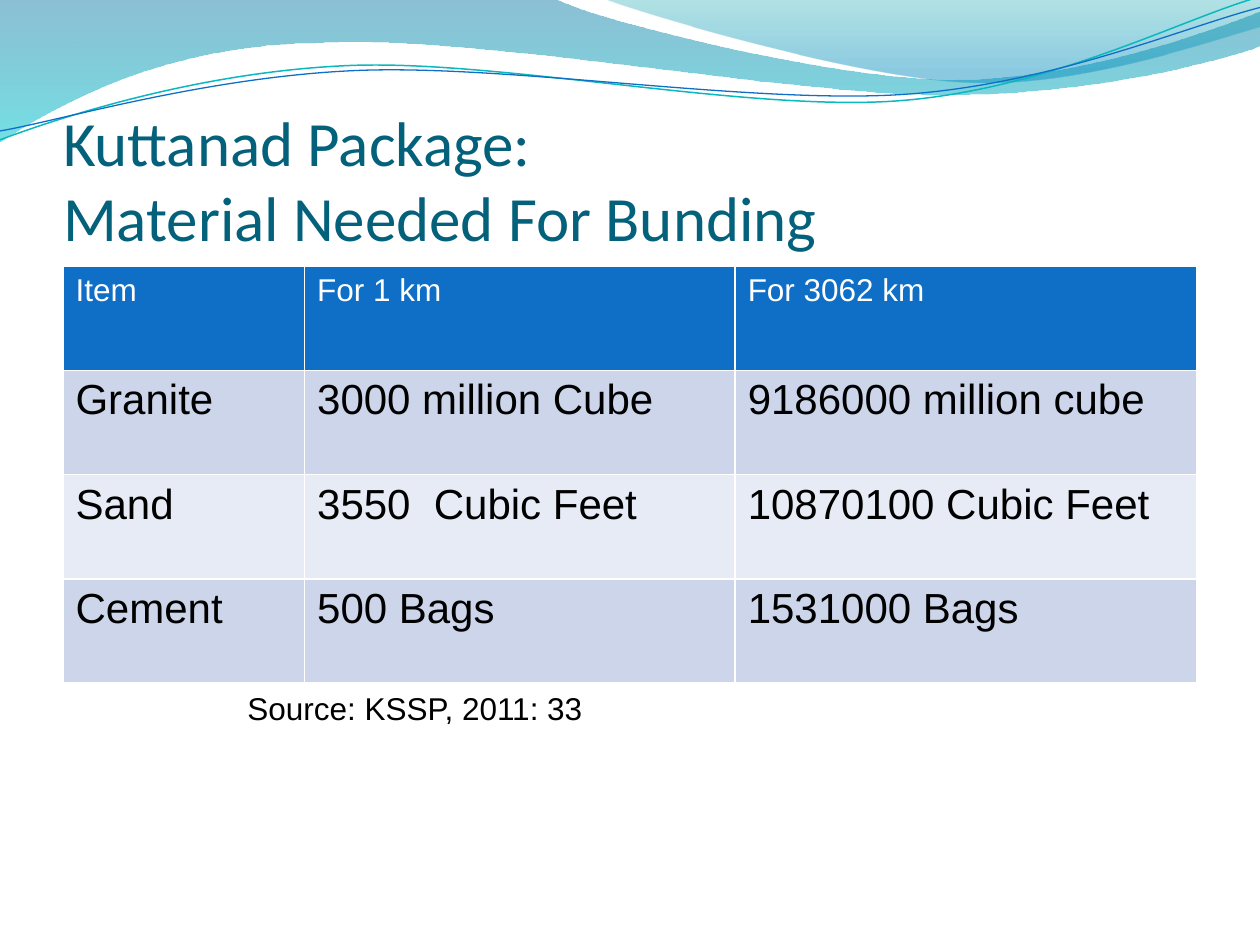
import math

from lxml import etree
from pptx import Presentation
from pptx import util as u
from pptx.dml.color import RGBColor
from pptx.enum import text
from pptx.oxml.ns import qn

UNIT = u.Cm(2.54)  # wave coordinates are in units of 2.54 cm
LINE_TILT = -2.7

# Each wave: start point, then line ends (2 numbers) or Bezier curves (6 numbers)
BACK_WAVE = [(0, -0.01), (4.4, -0.01),
             (4.76, 0.17, 6.64, 0.63, 7.58, 0.63), (8.53, 0.63, 9.58, 0.26, 10, 0.09),
             (10.01, 0.36),
             (9.83, 0.44, 8.7, 0.76, 7.46, 0.75), (6.22, 0.75, 3.82, 0.28, 2.57, 0.34),
             (1.29, 0.35, 0.46, 0.83, -0.01, 1.13), (0, -0.01)]
FRONT_WAVE = [(4.79, -0.01),
              (5.09, 0.11, 6.82, 0.62, 7.69, 0.65), (8.56, 0.69, 9.61, 0.32, 10, 0.21),
              (10, 0), (4.79, -0.01)]
TEAL_LINE = [(0, 1.11), (0.48, 0.93, 1.58, 0.57, 2.77, 0.52),
             (3.95, 0.47, 5.93, 0.89, 7.13, 0.8), (8.33, 0.71, 9.38, 0.15, 9.98, -0.02)]
BLUE_LINE = [(0, 1.04), (0.47, 0.96, 1.64, 0.61, 2.83, 0.56),
             (4.03, 0.51, 5.97, 0.83, 7.17, 0.75), (8.36, 0.67, 9.41, 0.21, 10, 0.06)]

ROWS = [("Item", "For 1 km", "For 3062 km"),
        ("Granite", "3000 million Cube", "9186000 million cube"),
        ("Sand", "3550  Cubic Feet", "10870100 Cubic Feet"),
        ("Cement", "500 Bags", "1531000 Bags")]
COL_WIDTHS = (4.87, 8.68, 9.31)
ROW_HEIGHT = 2.1


def rgb(value):
    return RGBColor.from_string(value)


def format_text(tf, font, size, color, align):
    for p in tf.paragraphs:
        p.alignment = align
        for r in p.runs:
            r.font.name = font
            r.font.size = u.Pt(size)
            r.font.bold = False
            r.font.color.rgb = rgb(color)


def turn(point, center, degrees):
    a = math.radians(degrees)
    dx, dy = point[0] - center[0], point[1] - center[1]
    return (center[0] + dx * math.cos(a) - dy * math.sin(a),
            center[1] + dx * math.sin(a) + dy * math.cos(a))


def add_outline(s, segments, close, center=(0, 0), tilt=0):
    """Add a Bezier outline that shows at its coordinates, with the shape turned by tilt."""
    points = [turn(seg[i:i + 2], center, -tilt)
              for seg in segments for i in range(0, len(seg), 2)]
    points = [(x * UNIT, y * UNIT) for x, y in points]
    builder = s.shapes.build_freeform(*points[0])
    builder.add_line_segments(points[1:], close=close)
    sp = builder.convert_to_shape()
    sp.shadow.inherit = False
    sp.rotation = tilt % 360

    # Join each three points of a curve into one Bezier command
    lines = iter(list(sp._element.iter(qn("a:lnTo"))))
    for seg in segments[1:]:
        line = next(lines)
        if len(seg) == 6:
            line.tag = qn("a:cubicBezTo")
            for _ in range(2):
                extra = next(lines)
                line.append(extra[0])
                extra.getparent().remove(extra)
    return sp


def add_wave(s, segments, stops):
    """Add a filled wave; stops hold position, colour and opacity in percent."""
    sp = add_outline(s, segments, True)
    sp.line.fill.background()
    sp.fill.gradient()
    sp.fill.gradient_angle = 270
    for stop, (position, color, _) in zip(sp.fill.gradient_stops, stops):
        stop.position = position
        stop.color.rgb = rgb(color)
    for clr, (_, _, opacity) in zip(sp._element.spPr.iter(qn("a:srgbClr")), stops):
        etree.SubElement(clr, qn("a:alpha"), val=str(opacity * 1000))


def add_wave_line(s, segments, center, color, width):
    sp = add_outline(s, segments, False, center, LINE_TILT)
    sp.fill.background()
    sp.line.color.rgb = rgb(color)
    sp.line.width = u.Pt(width)


def set_title(s, title):
    sp = s.shapes.title
    sp.left, sp.top, sp.width, sp.height = map(u.Cm, (1.27, 1.95, 22.86, 3.18))
    tf = sp.text_frame
    tf.text = title
    tf.auto_size = text.MSO_AUTO_SIZE.NONE
    tf.vertical_anchor = text.MSO_ANCHOR.BOTTOM
    tf.margin_left = tf.margin_right = tf.margin_bottom = 0
    format_text(tf, "Calibri", 36, "04617B", text.PP_ALIGN.LEFT)


def set_borders(cell, color, width):
    tc_pr = cell._tc.get_or_add_tcPr()
    for side in ("lnL", "lnR", "lnT", "lnB"):
        ln = etree.SubElement(tc_pr, qn("a:" + side), w=str(u.Pt(width)))
        fill = etree.SubElement(ln, qn("a:solidFill"))
        etree.SubElement(fill, qn("a:srgbClr"), val=color)


def add_material_table(s):
    table = s.shapes.add_table(len(ROWS), len(COL_WIDTHS), u.Cm(1.27), u.Cm(5.37),
                               u.Cm(sum(COL_WIDTHS)), u.Cm(ROW_HEIGHT * len(ROWS))).table
    table.horz_banding = False
    for column, width in zip(table.columns, COL_WIDTHS):
        column.width = u.Cm(width)
    for i, values in enumerate(ROWS):
        table.rows[i].height = u.Cm(ROW_HEIGHT)
        if i == 0:
            fill, size, color = "0F6FC6", 18, "FFFFFF"
        else:
            fill, size, color = ("CCD5EA" if i % 2 else "E7EBF5"), 24, "000000"
        for j, value in enumerate(values):
            cell = table.cell(i, j)
            cell.text_frame.text = value
            format_text(cell.text_frame, "Arial", size, color, text.PP_ALIGN.LEFT)
            set_borders(cell, "FFFFFF", 1)
            cell.fill.solid()
            cell.fill.fore_color.rgb = rgb(fill)


def add_source(s, source):
    tf = s.shapes.add_textbox(*map(u.Cm, (1.7, 13.77, 13.33, 1.02))).text_frame
    tf.word_wrap = True
    tf.auto_size = text.MSO_AUTO_SIZE.SHAPE_TO_FIT_TEXT
    tf.text = source
    format_text(tf, "Arial", 18, "000000", text.PP_ALIGN.CENTER)


def main():
    prs = Presentation()
    prs.slide_width, prs.slide_height = u.Cm(25.4), u.Cm(19.05)
    s = prs.slides.add_slide(prs.slide_layouts.get_by_name("Title Only"))
    add_wave(s, BACK_WAVE, [(0, "0074A1", 45), (1, "00C6CF", 55)])
    add_wave(s, FRONT_WAVE, [(0, "00A1A9", 30), (0.8, "008BBF", 45)])
    add_wave_line(s, TEAL_LINE, (4.99, 0.57), "0AB8BF", 0.85)
    add_wave_line(s, BLUE_LINE, (5, 0.59), "0F6FC6", 0.75)
    set_title(s, "Kuttanad Package: \vMaterial Needed For Bunding")
    add_material_table(s)
    add_source(s, "Source: KSSP, 2011: 33")
    prs.save("out.pptx")


if __name__ == "__main__":
    main()
